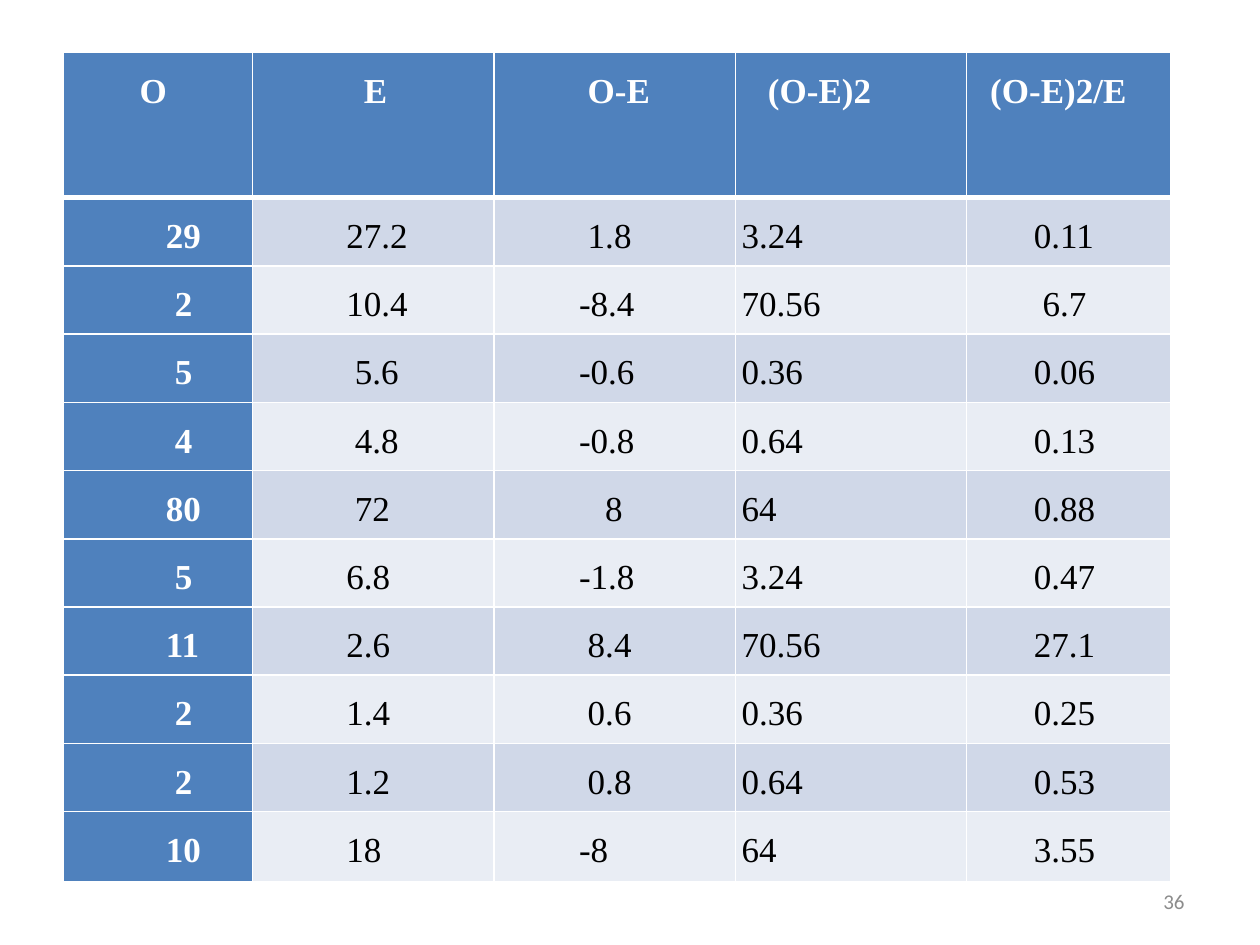
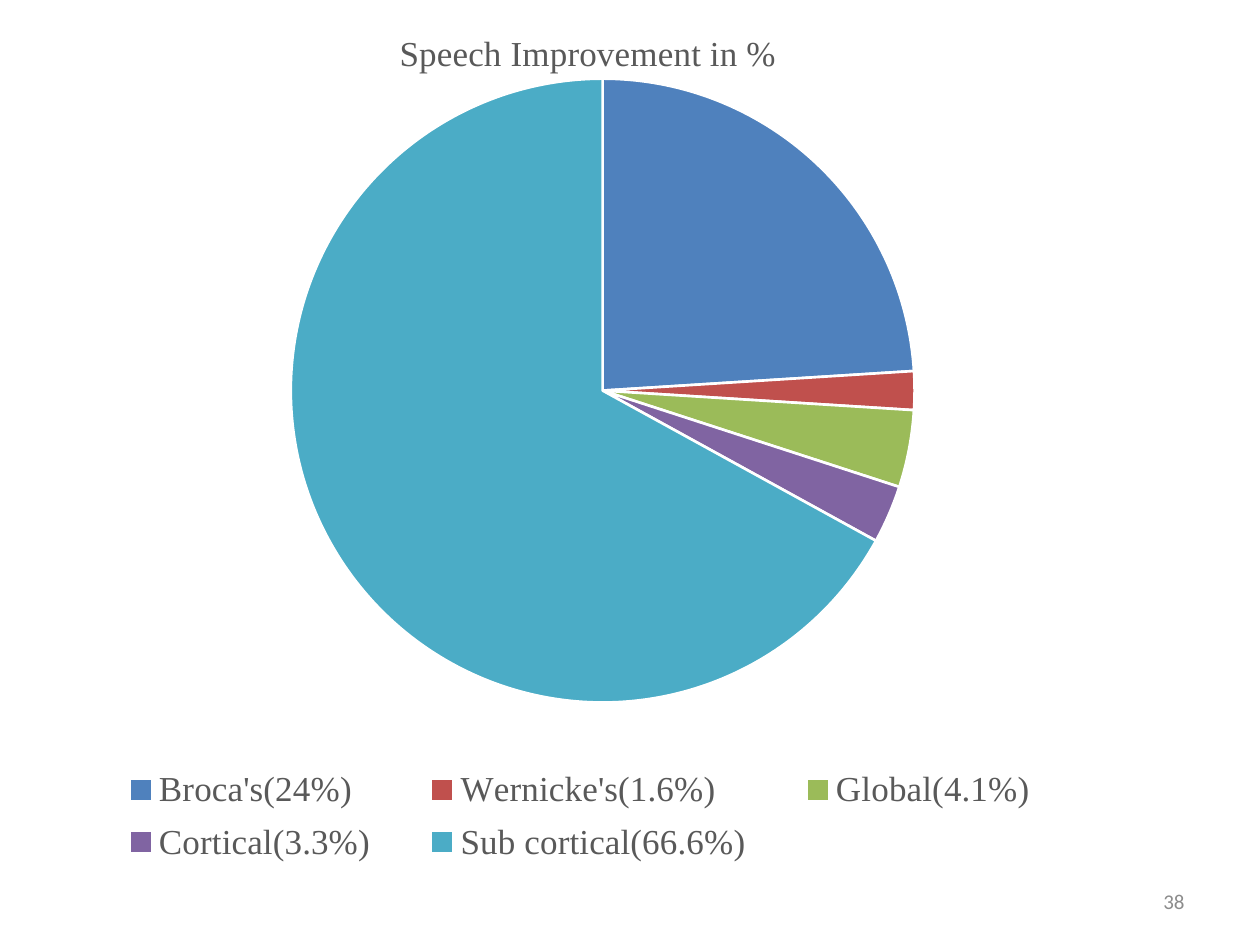
import pptx
import pptx.chart.data
import pptx.dml.color
import pptx.enum.chart
import pptx.enum.text
import pptx.oxml
import pptx.oxml.ns
import pptx.util

Pt = pptx.util.Pt
RGBColor = pptx.dml.color.RGBColor

WHITE = RGBColor(0xFF, 0xFF, 0xFF)
BLACK = RGBColor(0x00, 0x00, 0x00)
BLUE = RGBColor(0x4F, 0x81, 0xBD)
RED = RGBColor(0xC0, 0x50, 0x4D)
GREEN = RGBColor(0x9B, 0xBB, 0x59)
PURPLE = RGBColor(0x80, 0x64, 0xA2)
TEAL = RGBColor(0x4B, 0xAC, 0xC6)
BAND_DARK = RGBColor(0xD0, 0xD8, 0xE8)
BAND_LIGHT = RGBColor(0xE9, 0xED, 0xF4)
CHART_GREY = RGBColor(0x59, 0x59, 0x59)
NUMBER_GREY = RGBColor(0x8C, 0x8C, 0x8C)

HEADINGS = ["O", "E", "O-E", "(O-E)2", "(O-E)2/E"]
OBSERVATIONS = [
    ["29", "27.2", "1.8", "3.24", "0.11"],
    ["2", "10.4", "-8.4", "70.56", "6.7"],
    ["5", "5.6", "-0.6", "0.36", "0.06"],
    ["4", "4.8", "-0.8", "0.64", "0.13"],
    ["80", "72", "8", "64", "0.88"],
    ["5", "6.8", "-1.8", "3.24", "0.47"],
    ["11", "2.6", "8.4", "70.56", "27.1"],
    ["2", "1.4", "0.6", "0.36", "0.25"],
    ["2", "1.2", "0.8", "0.64", "0.53"],
    ["10", "18", "-8", "64", "3.55"],
]
# Left indents in points: usual ones per column, then single cells by (row, column)
HEADING_INDENTS = [40, 60, 50, 15, 10]
COLUMN_INDENTS = [55, 50, 50, 0, 35]
CELL_INDENTS = {(3, 1): 55, (4, 1): 55, (5, 1): 55, (5, 2): 60, (2, 4): 40}
COLUMN_WIDTHS = [108, 138, 138, 132, 117]
ROW_HEIGHTS = [83] + [39] * 9 + [40]

IMPROVEMENT = [
    ("Broca's(24%)", 24, BLUE),
    ("Wernicke's(1.6%)", 2, RED),
    ("Global(4.1%)", 4, GREEN),
    ("Cortical(3.3%)", 3, PURPLE),
    ("Sub cortical(66.6%)", 67, TEAL),
]
CHART_BOX = (0, 0, 672, 510)
PLOT_BOX = (43.7, 45, 601.5, 356.5)
LEGEND_BOX = (46, 433, 571, 67)


def indent_of(row, column, value):
    if row == 0:
        return HEADING_INDENTS[column]
    if (row, column) in CELL_INDENTS:
        return CELL_INDENTS[row, column]
    indent = COLUMN_INDENTS[column]
    if column == 0 and len(value) == 1:
        indent += 5
    if value.startswith("-"):
        indent -= 5
    return indent


def chart_layout(box, target=""):
    """Layout element that places a chart part at a box given in points."""
    _, _, width, height = CHART_BOX
    x, y, w, h = (part / whole for part, whole in zip(box, (width, height) * 2))
    return pptx.oxml.parse_xml(
        f'<c:layout {pptx.oxml.ns.nsdecls("c")}><c:manualLayout>{target}'
        '<c:xMode val="edge"/><c:yMode val="edge"/>'
        f'<c:x val="{x}"/><c:y val="{y}"/><c:w val="{w}"/><c:h val="{h}"/>'
        '</c:manualLayout></c:layout>')


class Deck:
    body_font = "Times New Roman"
    number_font = "Calibri"
    body_size = Pt(20)

    def __init__(self):
        self.presentation = pptx.Presentation()
        self.presentation.slide_width = Pt(720)
        self.presentation.slide_height = Pt(540)
        self.slide = None

    def add_slide(self, number):
        blank = self.presentation.slide_layouts[6]
        self.slide = self.presentation.slides.add_slide(blank)
        self.page_number(number)

    def style(self, font, color, bold=False):
        font.name, font.size = self.body_font, self.body_size
        font.color.rgb, font.bold = color, bold

    def page_number(self, number):
        box = self.slide.shapes.add_textbox(Pt(516), Pt(500.5), Pt(168), Pt(28.75))
        frame = box.text_frame
        frame.word_wrap = True
        frame.vertical_anchor = pptx.enum.text.MSO_ANCHOR.MIDDLE
        paragraph = frame.paragraphs[0]
        paragraph.text = str(number)
        paragraph.alignment = pptx.enum.text.PP_ALIGN.RIGHT
        self.style(paragraph.font, NUMBER_GREY)
        paragraph.font.name, paragraph.font.size = self.number_font, Pt(12)

    def border(self, cell, side, width):
        cell._tc.get_or_add_tcPr().append(pptx.oxml.parse_xml(
            f'<a:ln{side} {pptx.oxml.ns.nsdecls("a")} w="{Pt(width)}">'
            f'<a:solidFill><a:srgbClr val="{WHITE}"/></a:solidFill></a:ln{side}>'))

    def cell(self, cell, value, indent, fill, color, bold, top, bottom):
        for side, width in (("L", 1), ("R", 1), ("T", top), ("B", bottom)):
            self.border(cell, side, width)
        cell.fill.solid()
        cell.fill.fore_color.rgb = fill
        cell.margin_left = cell.margin_right = Pt(3.6)
        cell.margin_top = cell.margin_bottom = 0
        paragraph = cell.text_frame.paragraphs[0]
        paragraph.text = value
        paragraph.line_spacing = 1.5
        paragraph._p.get_or_add_pPr().set("marL", str(Pt(indent)))
        self.style(paragraph.font, color, bold)

    def table(self, rows, left, top):
        table = self.slide.shapes.add_table(
            len(rows), len(rows[0]), Pt(left), Pt(top),
            Pt(sum(COLUMN_WIDTHS)), Pt(sum(ROW_HEIGHTS))).table
        table.first_col = True
        for column, width in zip(table.columns, COLUMN_WIDTHS):
            column.width = Pt(width)
        for r, values in enumerate(rows):
            table.rows[r].height = Pt(ROW_HEIGHTS[r])
            band = BAND_DARK if r % 2 else BAND_LIGHT
            for c, value in enumerate(values):
                heading = r == 0 or c == 0
                self.cell(table.cell(r, c), value, indent_of(r, c, value),
                          fill=BLUE if heading else band,
                          color=WHITE if heading else BLACK, bold=heading,
                          top=3 if r == 1 else 1, bottom=3 if r == 0 else 1)

    def place_plot(self, chart):
        plot_area = chart._chartSpace.chart.plotArea
        for layout in plot_area.findall(pptx.oxml.ns.qn("c:layout")):
            plot_area.remove(layout)
        plot_area.insert(0, chart_layout(PLOT_BOX, '<c:layoutTarget val="inner"/>'))

    def place_legend(self, chart):
        legend = chart.legend._element
        for layout in legend.findall(pptx.oxml.ns.qn("c:layout")):
            legend.remove(layout)
        legend.find(pptx.oxml.ns.qn("c:legendPos")).addnext(chart_layout(LEGEND_BOX))

    def pie(self, title, shares):
        data = pptx.chart.data.CategoryChartData()
        data.categories = [label for label, _, _ in shares]
        data.add_series(title, [value for _, value, _ in shares])
        chart = self.slide.shapes.add_chart(
            pptx.enum.chart.XL_CHART_TYPE.PIE, *map(Pt, CHART_BOX), data).chart
        chart.font.name, chart.font.size = self.number_font, Pt(10)
        chart.font.color.rgb = BLACK
        chart.has_title = True
        heading = chart.chart_title.text_frame.paragraphs[0]
        heading.text = title
        self.style(heading.font, CHART_GREY)
        chart.chart_title.include_in_layout = False
        chart.has_legend = True
        chart.legend.position = pptx.enum.chart.XL_LEGEND_POSITION.BOTTOM
        chart.legend.include_in_layout = False
        self.style(chart.legend.font, CHART_GREY)
        self.place_plot(chart)
        self.place_legend(chart)
        chart.plots[0].vary_by_categories = True
        for i, (_, _, color) in enumerate(shares):
            wedge = chart.plots[0].series[0].points[i].format
            wedge.fill.solid()
            wedge.fill.fore_color.rgb = color
            wedge.line.color.rgb = WHITE
            wedge.line.width = Pt(1.5)


def main():
    deck = Deck()
    deck.add_slide(36)
    deck.table([HEADINGS] + OBSERVATIONS, 36.25, 30)
    deck.add_slide(38)
    deck.pie("Speech Improvement in %", IMPROVEMENT)
    deck.presentation.save("out.pptx")


if __name__ == "__main__":
    main()
